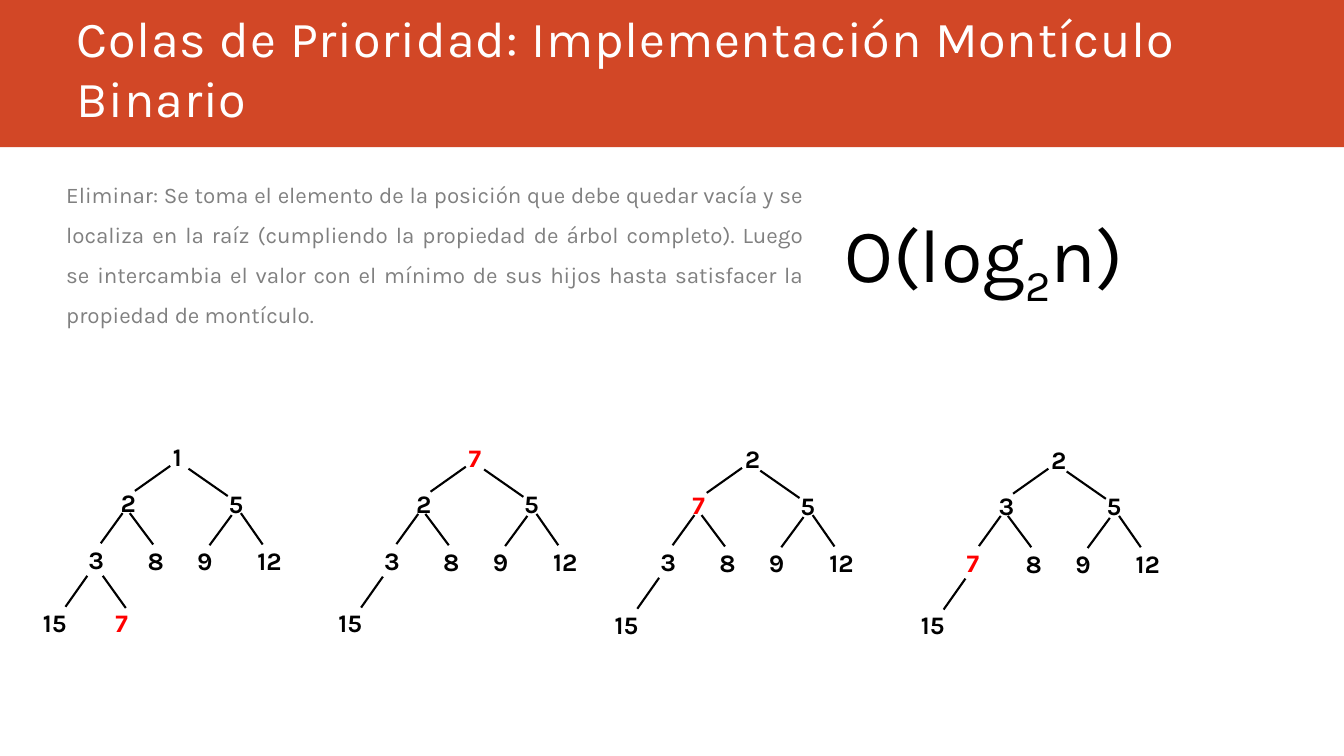
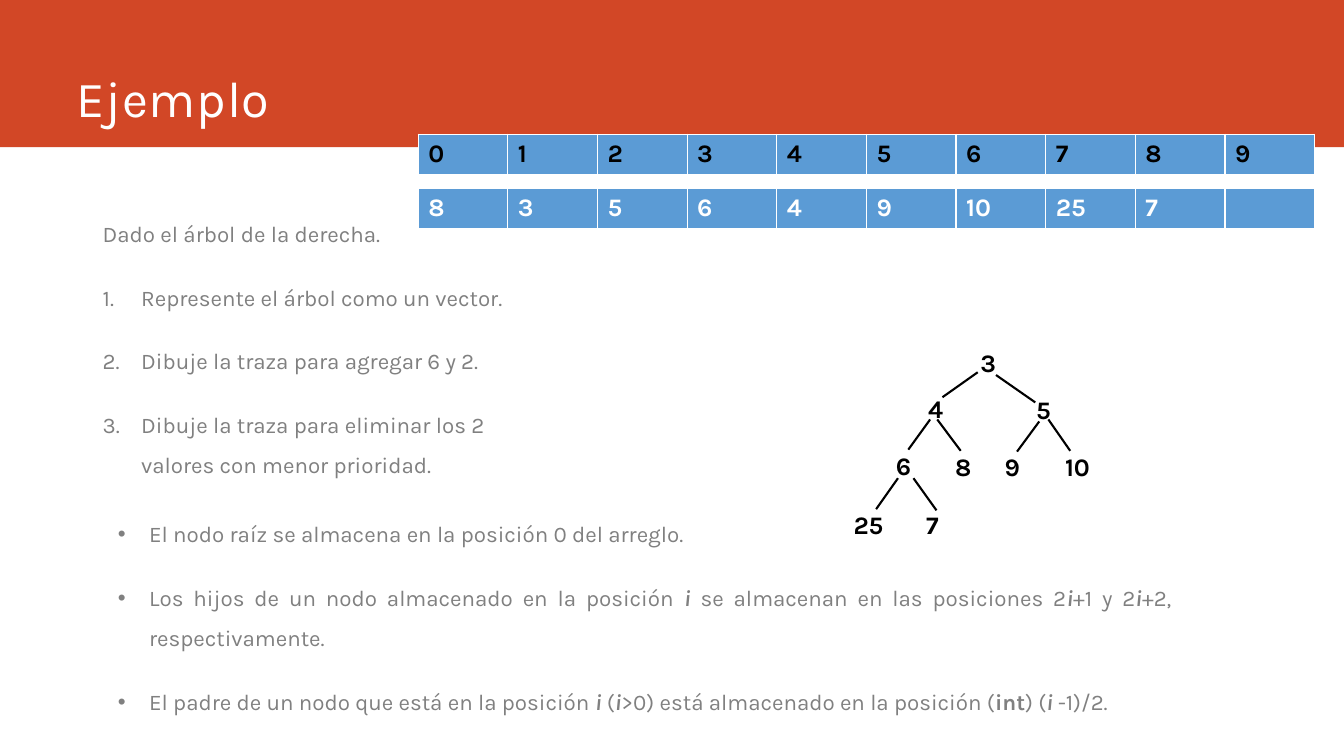
import pptx
import pptx.dml.color
import pptx.enum.shapes
import pptx.enum.text
import pptx.oxml
import pptx.oxml.ns
import pptx.util

Cm = pptx.util.Cm
Pt = pptx.util.Pt
ALIGN = pptx.enum.text.PP_ALIGN

FONT = "Karla"
BAND = "D24726"
WHITE = "FFFFFF"
BLACK = "000000"
GRAY = "808080"
RED = "FF0000"
BLUE = "5B9BD5"
SLIDE_WIDTH, SLIDE_HEIGHT = 33.87, 19.05

NODE_OFFSETS = [
    (0, 0), (-1.32, 1.15), (1.4, 1.17),
    (-2.13, 2.59), (-0.64, 2.62), (0.61, 2.62), (2.13, 2.62),
    (-3.28, 4.17), (-1.45, 4.17),
]
EDGE_OFFSETS = [
    None, (-0.71, 1.37, 0.18, 0.74), (1.63, 1.5, 0.64, 0.81),
    (-1.57, 2.69, -1.02, 1.93), (-0.25, 2.72, -0.84, 1.93),
    (1.17, 2.74, 1.73, 1.98), (2.51, 2.72, 1.96, 1.93),
    (-2.46, 4.29, -1.91, 3.51), (-0.94, 4.32, -1.52, 3.51),
]
FIRST_BOTTOM_NODE = 7

REMOVAL_STEPS = [
    (4.11, 11, [1, 2, 5, 3, 8, 9, 12, 15, 7]),
    (11.56, 11.02, [7, 2, 5, 3, 8, 9, 12, 15]),
    (18.52, 11.05, [2, 7, 5, 3, 8, 9, 12, 15]),
    (26.24, 11.07, [2, 3, 5, 7, 8, 9, 12, 15]),
]
REMOVAL_TEXT = (
    "Eliminar: Se toma el elemento de la posición que debe quedar vacía y se "
    "localiza en la raíz (cumpliendo la propiedad de árbol completo). Luego se "
    "intercambia el valor con el mínimo de sus hijos hasta satisfacer la "
    "propiedad de montículo."
)
EXERCISES = [
    "Represente el árbol como un vector.",
    "Dibuje la traza para agregar 6 y 2.",
    "Dibuje la traza para eliminar los 2 valores con menor prioridad.",
]
ARRAY_RULES = [
    [("El nodo raíz se almacena en la posición 0 del arreglo.", "")],
    [("Los hijos de un nodo almacenado en la posición ", ""), ("i", "bold italic"),
     (" se almacenan en las posiciones 2", ""), ("i", "bold italic"),
     ("+1 y 2", ""), ("i", "bold italic"), ("+2, respectivamente.", "")],
    [("El padre de un nodo que está en la posición ", ""), ("i", "bold italic"),
     (" (", ""), ("i", "bold italic"),
     (">0) está almacenado en la posición (", ""), ("int", "bold"),
     (") (", ""), ("i ", "bold italic"), ("-1)/2.", "")],
]


def rgb(value):
    """Turn a hex string into a colour."""
    return pptx.dml.color.RGBColor.from_string(value)


def xml_element(tag, **attributes):
    """Make a drawing element with the given attributes."""
    element = pptx.oxml.parse_xml(f"<a:{tag} {pptx.oxml.ns.nsdecls('a')}/>")
    for name, value in attributes.items():
        element.set(name, str(value))
    return element


def write_runs(paragraph, runs, size, color):
    """Write styled runs into a paragraph."""
    for text, style in runs:
        run = paragraph.add_run()
        run.text = text
        run.font.name = FONT
        run.font.size = Pt(size)
        run.font.color.rgb = rgb(color)
        run.font.bold = "bold" in style
        run.font.italic = "italic" in style
        if "subscript" in style:
            run.font._element.set("baseline", "-25000")
        if "spaced" in style:
            run.font._element.set("spc", "60")


def add_text_frame(slide, box, wrap=True):
    """Add a text box and return its text frame."""
    text_frame = slide.shapes.add_textbox(*map(Cm, box)).text_frame
    text_frame.word_wrap = wrap
    return text_frame


def add_header(slide, title):
    """Add the coloured band and the slide title."""
    band = slide.shapes.add_shape(
        pptx.enum.shapes.MSO_SHAPE.RECTANGLE, 0, 0, Cm(SLIDE_WIDTH), Cm(3.71))
    band.shadow.inherit = False
    band.fill.solid()
    band.fill.fore_color.rgb = rgb(BAND)
    band.line.fill.background()
    text_frame = add_text_frame(slide, (1.68, 0, 29.87, 3.35))
    text_frame.vertical_anchor = pptx.enum.text.MSO_ANCHOR.BOTTOM
    write_runs(text_frame.paragraphs[0], [(title, "spaced")], 36, WHITE)


def add_body(slide, box, items, align=ALIGN.LEFT):
    """Add body paragraphs given as pairs of list kind and runs."""
    text_frame = add_text_frame(slide, box)
    for index, (kind, runs) in enumerate(items):
        paragraph = text_frame.add_paragraph() if index else text_frame.paragraphs[0]
        if kind:
            properties = paragraph._p.get_or_add_pPr()
            indent = Cm(0.97 if kind == "number" else 0.79)
            properties.set("marL", str(indent))
            properties.set("indent", str(-indent))
            if kind == "number":
                properties.append(xml_element("buAutoNum", type="arabicPeriod"))
            else:
                properties.append(xml_element("buFont", typeface="Arial"))
                properties.append(xml_element("buChar", char="•"))
        paragraph.alignment = align
        paragraph.line_spacing = 1.5
        paragraph.space_before = Pt(4.8 if index else 0)
        paragraph.space_after = Pt(12)
        write_runs(paragraph, runs, 16, GRAY)


def add_edge(slide, x1, y1, x2, y2):
    """Draw one branch of a tree."""
    edge = slide.shapes.add_connector(
        pptx.enum.shapes.MSO_CONNECTOR.STRAIGHT, Cm(x1), Cm(y1), Cm(x2), Cm(y2))
    edge.line.color.rgb = rgb(BLACK)
    edge.line.width = Pt(1.5)
    edge._element.spPr.append(xml_element("effectLst"))


def add_heap(slide, left, top, values, highlight=None, bottom_shift=(0, 0)):
    """Draw a binary heap in level order from the corner of its root."""
    for index, value in enumerate(values):
        shift_x, shift_y = bottom_shift if index >= FIRST_BOTTOM_NODE else (0, 0)
        x, y = left + shift_x, top + shift_y
        node_x, node_y = NODE_OFFSETS[index]
        width = 0.89 if value < 10 else 1.3
        text_frame = add_text_frame(slide, (x + node_x, y + node_y, width, 1.02))
        color = RED if value == highlight else BLACK
        write_runs(text_frame.paragraphs[0], [(str(value), "bold")], 18, color)
        if index:
            x1, y1, x2, y2 = EDGE_OFFSETS[index]
            add_edge(slide, x + x1, y + y1, x + x2, y + y2)


def add_array(slide, left, top, values, color):
    """Draw a one-row table of array cells."""
    column_width, height = 2.26, 1.04
    table = slide.shapes.add_table(
        1, len(values), Cm(left), Cm(top),
        Cm(column_width * len(values)), Cm(height)).table
    for column, value in enumerate(values):
        table.columns[column].width = Cm(column_width)
        cell = table.cell(0, column)
        cell.fill.solid()
        cell.fill.fore_color.rgb = rgb(BLUE)
        properties = cell._tc.get_or_add_tcPr()
        for position, (side, points) in enumerate(
                [("lnL", 1), ("lnR", 1), ("lnT", 1), ("lnB", 3)]):
            border = xml_element(side, w=Pt(points))
            border.append(xml_element("solidFill"))
            border[0].append(xml_element("srgbClr", val=WHITE))
            properties.insert(position, border)
        if value != "":
            write_runs(cell.text_frame.paragraphs[0], [(str(value), "bold")], 18, color)


def build_removal_slide(slide):
    """Show how removal restores the heap, step by step."""
    add_header(slide, "Colas de Prioridad: Implementación Montículo Binario")
    add_body(slide, (1.42, 4.09, 19.08, 7.37), [("", [(REMOVAL_TEXT, "")])], ALIGN.JUSTIFY)
    cost = add_text_frame(slide, (20.98, 5.08, 7.62, 2.57), wrap=False).paragraphs[0]
    cost.alignment = ALIGN.CENTER
    write_runs(cost, [("O(log", ""), ("2", "subscript"), ("n)", "")], 54, BLACK)
    for left, top, values in REMOVAL_STEPS:
        add_heap(slide, left, top, values, highlight=7)


def build_example_slide(slide):
    """Show the exercise, its tree and the array that stores it."""
    add_header(slide, "Ejemplo")
    statement = [("", [("Dado el árbol de la derecha.", "")])]
    exercises = [("number", [(text, "")]) for text in EXERCISES]
    add_body(slide, (2.34, 5.08, 11.58, 7.98), statement + exercises)
    add_heap(slide, 24.46, 8.64, [3, 4, 5, 6, 8, 9, 10, 25, 7], bottom_shift=(0.08, -0.1))
    rules = [("bullet", runs) for runs in ARRAY_RULES]
    add_body(slide, (2.72, 12.65, 27.05, 5.79), rules, ALIGN.JUSTIFY)
    add_array(slide, 10.54, 4.75, [8, 3, 5, 6, 4, 9, 10, 25, 7, ""], WHITE)
    add_array(slide, 10.54, 3.38, range(10), BLACK)


def main():
    """Build and save the presentation."""
    presentation = pptx.Presentation()
    presentation.slide_width = Cm(SLIDE_WIDTH)
    presentation.slide_height = Cm(SLIDE_HEIGHT)
    for build in (build_removal_slide, build_example_slide):
        build(presentation.slides.add_slide(presentation.slide_layouts[6]))
    presentation.save("out.pptx")


if __name__ == "__main__":
    main()
